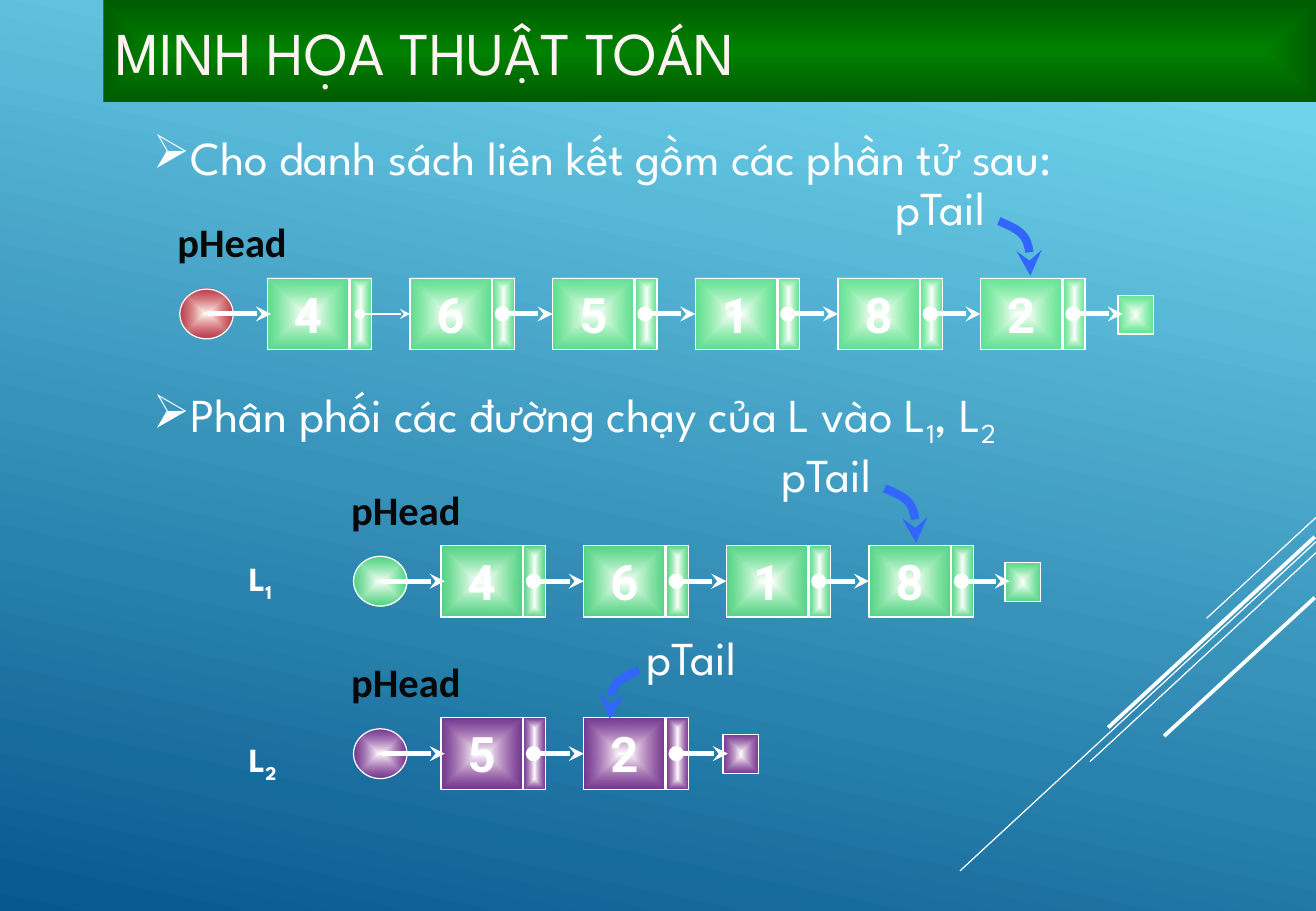
from lxml import etree
from pptx import Presentation
from pptx.dml.color import RGBColor
from pptx.enum.shapes import MSO_CONNECTOR as LINE, MSO_SHAPE as SHAPE
from pptx.enum.text import MSO_ANCHOR as ANCHOR, PP_ALIGN as ALIGN
from pptx.oxml.ns import qn
from pptx.util import Inches, Pt

WHITE = RGBColor(0xFF, 0xFF, 0xFF)
IVORY = RGBColor(0xFF, 0xFF, 0xF7)
TITLE = RGBColor(0xFF, 0xF3, 0xF3)
INK = RGBColor(0x08, 0x08, 0x08)
BLUE = RGBColor(0x33, 0x66, 0xFF)
GREEN = RGBColor(0x69, 0xFF, 0x69)
RED = RGBColor(0xFF, 0x00, 0x00)
PURPLE = RGBColor(0xA5, 0x0E, 0x82)
BAR_MID = RGBColor(0x00, 0x80, 0x00)
BAR_EDGE = RGBColor(0x00, 0x5C, 0x00)
SKY = RGBColor(0x6E, 0xD2, 0xEB)
DEEP = RGBColor(0x06, 0x58, 0x8E)

SPARTAN, ROBOTO, CALIBRI = "League Spartan", "Roboto", "Calibri"
COLS, ROWS = 108.3, 75
PITCH = 11.74


def child(parent, tag, **attrs):
    el = etree.SubElement(parent, qn(tag))
    for key, value in attrs.items():
        el.set(key, str(value))
    return el


def bezier(a, b, c, d, steps=8):
    for i in range(1, steps + 1):
        t = i / steps
        u = 1 - t
        yield tuple(u**3 * e + 3 * u * u * t * f + 3 * u * t * t * g + t**3 * h
                    for e, f, g, h in zip(a, b, c, d))


class Deck:
    def __init__(self):
        self.prs = Presentation()
        self.prs.slide_width = Inches(COLS / 10)
        self.prs.slide_height = Inches(ROWS / 10)
        self.s = self.prs.slides.add_slide(self.prs.slide_layouts[6])
        self.shapes = self.s.shapes

    def grid(self, *cells):
        return [Inches(c / 10) for c in cells]

    def gradient(self, parent, stops, angle=None):
        solid = parent.find(qn("a:solidFill"))
        grad = etree.Element(qn("a:gradFill"), rotWithShape="1")
        gs_list = child(grad, "a:gsLst")
        for pos, color, alpha in stops:
            gs = child(gs_list, "a:gs", pos=pos * 1000)
            clr = child(gs, "a:srgbClr", val=color)
            if alpha < 100:
                child(clr, "a:alpha", val=alpha * 1000)
        if angle is None:
            shade = child(grad, "a:path", **{"path": "shape"})
            child(shade, "a:fillToRect", l=50000, t=50000, r=50000, b=50000)
        else:
            child(grad, "a:lin", ang=angle * 60000, scaled=0)
        parent.replace(solid, grad)

    def background(self, top, bottom, angle):
        self.s.background.fill.solid()
        bg = self.s.element.find(".//" + qn("p:bgPr"))
        self.gradient(bg, [(10, top, 100), (100, bottom, 100)], angle)

    def put_text(self, sp, runs, size, font, color, bold=False, align=ALIGN.LEFT,
                 anchor=ANCHOR.TOP, inset=True, bullet=None, wrap=True):
        tf = sp.text_frame
        tf.word_wrap = wrap
        tf.vertical_anchor = anchor
        if not inset:
            tf.margin_left = tf.margin_right = tf.margin_top = tf.margin_bottom = 0
        p = tf.paragraphs[0]
        p.alignment = align
        if bullet:
            pPr = p._p.get_or_add_pPr()
            pPr.set("marL", "0")
            pPr.set("indent", "0")
            child(pPr, "a:buChar", char=bullet)
        f = p.font
        f.size, f.name, f.bold = Pt(size), font, bold
        f.color.rgb = color
        for i, text in enumerate(runs):
            r = p.add_run()
            r.text = text
            if i % 2:
                r._r.get_or_add_rPr().set("baseline", "-25000")

    def text(self, x, y, w, h, *runs, **style):
        self.put_text(self.shapes.add_textbox(*self.grid(x, y, w, h)), runs, **style)

    def block(self, x, y, w, h, edge, center=WHITE, kind=SHAPE.RECTANGLE,
              alpha=60, outline=True):
        sp = self.shapes.add_shape(kind, *self.grid(x, y, w, h))
        sp.shadow.inherit = False
        sp.fill.solid()
        self.gradient(sp.element.spPr, [(0, center, 100), (100, edge, alpha)])
        if outline:
            sp.line.color.rgb = WHITE
            sp.line.width = Pt(0.75)
        else:
            sp.line.fill.background()
        return sp

    def ends(self, sp, head, tail):
        ln = sp.element.spPr.find(qn("a:ln"))
        for tag, kind in (("a:headEnd", head), ("a:tailEnd", tail)):
            if kind:
                child(ln, tag, type=kind)

    def line(self, x1, y1, x2, y2, width, head=None, tail=None, target=None):
        cx = self.shapes.add_connector(LINE.STRAIGHT, *self.grid(x1, y1, x2, y2))
        if target is not None:
            cx.end_connect(target, 1)
        cx.line.color.rgb = WHITE
        cx.line.width = Pt(width)
        self.ends(cx, head, tail)
        child(cx.element.spPr, "a:effectLst")

    def tail_curve(self, x, y, w, h):
        unit = [(0, 0), (.35, .09), (.69, .16), (.85, .33), (1, .5), (1, .75), (1, 1)]
        pts = [(Inches((x + u * w) / 10), Inches((y + v * h) / 10)) for u, v in unit]
        fb = self.shapes.build_freeform(*pts[0])
        fb.add_line_segments([*bezier(*pts[:4]), *bezier(*pts[3:])], close=False)
        sp = fb.convert_to_shape()
        sp.shadow.inherit = False
        sp.fill.background()
        sp.line.color.rgb = BLUE
        sp.line.width = Pt(5)
        self.ends(sp, None, "stealth")

    def linked_list(self, x, y, values, color, end_x, tail, curve,
                    head_color=None, head_center=WHITE, first_width=3):
        mid = y + 2.95
        self.block(x - 7.2, y + 0.9, 4.4, 4.1, head_color or color, head_center,
                   SHAPE.OVAL)
        self.block(end_x, y + 1.4, 2.9, 3.2, color)
        nodes = []
        for i, value in enumerate(values):
            left = x + i * PITCH
            self.block(left + 6.8, y, 1.8, 5.9, color)
            node = self.block(left, y, 6.7, 5.9, color)
            self.put_text(node, [value], 29, ROBOTO, WHITE, True, ALIGN.CENTER,
                          wrap=False)
            nodes.append(node)
        self.line(x - 4.9, mid, x + 0.3, mid, 3, tail="stealth")
        for i, target in enumerate(nodes[1:] + [None]):
            start = x + i * PITCH + 7.6
            stop = end_x + 0.4 if target is None else x + (i + 1) * PITCH
            self.line(start, mid, stop, mid, 3 if i else first_width,
                      "oval", "stealth", target)
        self.text(x - 8.8, y - 5, 11.8, 4.6, "pHead", size=24, font=CALIBRI,
                  color=INK, bold=True, align=ALIGN.CENTER, inset=False)
        self.text(*tail, 8.6, 4.3, "pTail", size=28, font=SPARTAN,
                  color=WHITE, align=ALIGN.CENTER, inset=False)
        dx, w, h = curve
        self.tail_curve(tail[0] + dx, tail[1] + 3.5, w, h)


def main():
    d = Deck()
    d.background(SKY, DEEP, 102)
    for x1, y1, x2, y2, width in [
        (108.3, 42.6, 99.3, 50.9, 0.75), (108.3, 44.6, 79, 71.7, 0.75),
        (108.3, 45.5, 89.7, 62.7, 0.75), (108.2, 44.2, 91.2, 59.9, 2.25),
        (108.2, 49.2, 95.8, 60.6, 2.25),
    ]:
        d.line(x1, y1, x2, y2, width)

    bar = d.block(8.5, 0, 99.8, 8.4, BAR_EDGE, BAR_MID, alpha=100, outline=False)
    d.put_text(bar, ["MINH HỌA THUẬT TOÁN"], 36, SPARTAN, TITLE, anchor=ANCHOR.MIDDLE)

    body = dict(size=28, font=SPARTAN, color=WHITE, bullet="➢")
    d.text(11.6, 10.1, 86.6, 10.2, "Cho danh sách liên kết gồm các phần tử sau:", **body)
    d.text(11.6, 31.2, 86.6, 5.7, "Phân phối các đường chạy của L vào L", "1",
           ", L", "2", **body)

    right, left = (9.1, 2.6, 4.5), (0, -2.4, 4)
    d.linked_list(22, 22.9, "465182", GREEN, 92, (73.1, 14.7), right,
                  RED, IVORY, 0.75)
    d.linked_list(36.3, 44.9, "4618", GREEN, 82.7, (63.7, 36.7), right)
    d.linked_list(36.3, 59.1, "52", PURPLE, 59.5, (52.6, 51.7), left)
    for y, index in ((45.4, "1"), (60.3, "2")):
        d.text(19.5, y, 7.1, 4.3, "L", index, size=20, font=SPARTAN,
               color=WHITE, bold=True)
    d.prs.save("out.pptx")


if __name__ == "__main__":
    main()
